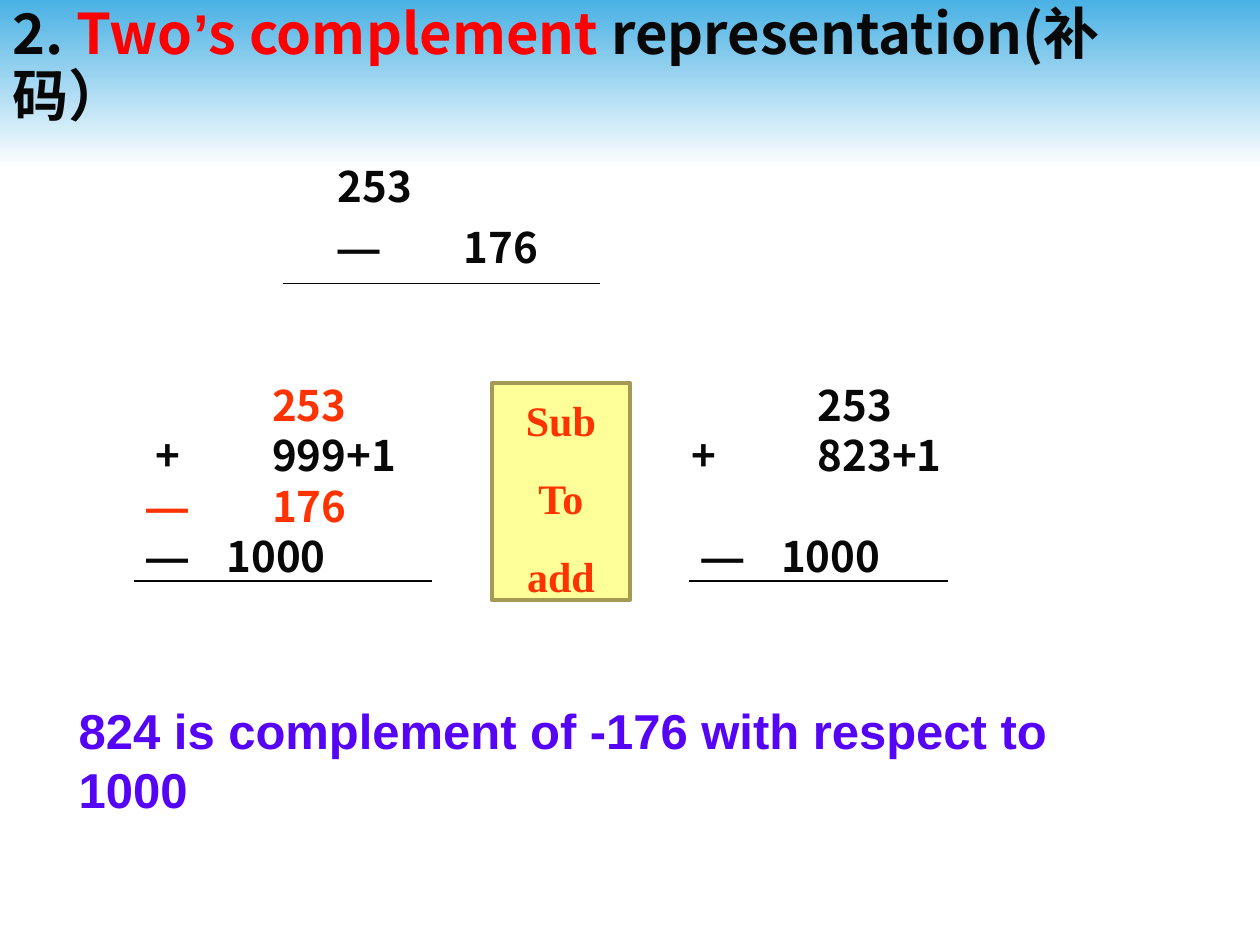
from lxml.etree import SubElement
from pptx import Presentation
from pptx.dml.color import RGBColor
from pptx.enum.shapes import MSO_CONNECTOR as Connector, MSO_SHAPE as Shape
from pptx.enum.text import MSO_ANCHOR as Anchor, PP_ALIGN as Align
from pptx.oxml.ns import qn
from pptx.util import Pt

INK = RGBColor(0x08, 0x08, 0x08)
RED = RGBColor(0xFF, 0x00, 0x00)
ORANGE = RGBColor(0xFF, 0x33, 0x00)
VIOLET = RGBColor(0x55, 0x04, 0xF6)
SKY = RGBColor(0x4A, 0xB1, 0xE4)
WHITE = RGBColor(0xFF, 0xFF, 0xFF)
YELLOW = RGBColor(0xFF, 0xFF, 0x99)
OLIVE = RGBColor(0xA5, 0x9A, 0x55)

SANS, ARIAL, SERIF = "Noto Sans CJK JP", "Arial", "Times New Roman"
ROW = 28.8

HEADING = [[
    ("2. ", SANS, INK), ("Two", SANS, RED), ("’", ARIAL, RED),
    ("s complement ", SANS, RED), ("representation(补码）", SANS, INK),
]]
SUMS = [
    dict(box=(193, 92, 200, 64), rule=(161.5, 343, 162), gap=6, tabs=(72, 72), rows=[
        [("253", SANS, INK)],
        [("—\t", ARIAL, INK), ("176", SANS, INK)],
    ]),
    dict(box=(83.5, 216.7, 180, 116), rule=(76.5, 247, 332), gap=0, tabs=(72, 46), rows=[
        [("\t253", SANS, ORANGE)],
        [(" +\t999+1", SANS, INK)],
        [("—\t", ARIAL, ORANGE), ("176", SANS, ORANGE)],
        [("—\t", ARIAL, INK), ("1000", SANS, INK)],
    ]),
    dict(box=(395.3, 216.7, 190, 116), rule=(394, 541.5, 332), gap=0, tabs=(72, 51),
         skip=ROW, rows=[
        [("\t253", SANS, INK)],
        [("+\t823+1", SANS, INK)],
        [(" ", SANS, INK), ("—\t", ARIAL, INK), ("1000", SANS, INK)],
    ]),
]
SUMS[0]["rule"] = (161.5, 343, 162)
STEPS = [[(word, SERIF, ORANGE)] for word in ("Sub", "To", "add")]
CONCLUSION = [[("824 is complement of -176 with respect to 1000", ARIAL, VIOLET)]]


def set_all(target, values):
    for key, value in values.items():
        setattr(target, key, value)


def write(shape, rows, size, wrap=True, anchor=Anchor.TOP, top=0, gap=0, **layout):
    frame = shape.text_frame
    set_all(frame, dict(margin_left=0, margin_right=0, margin_top=Pt(top),
                        margin_bottom=0, word_wrap=wrap, vertical_anchor=anchor))
    for index, row in enumerate(rows):
        paragraph = frame.add_paragraph() if index else frame.paragraphs[0]
        set_all(paragraph, layout)
        if index:
            paragraph.space_before = Pt(gap)
        for text, face, color in row:
            run = paragraph.add_run()
            run.text = text
            set_all(run.font, dict(name=face, size=Pt(size), bold=True))
            run.font.color.rgb = color
            SubElement(run.font._element, qn("a:ea")).set("typeface", face)
    return frame.paragraphs


def add_text(slide, box, rows, size, **options):
    return write(slide.shapes.add_textbox(*map(Pt, box)), rows, size, **options)


def add_tab(paragraph, position):
    stops = SubElement(paragraph._p.get_or_add_pPr(), qn("a:tabLst"))
    stop = SubElement(stops, qn("a:tab"))
    stop.set("pos", str(Pt(position)))
    stop.set("algn", "l")


def add_rect(slide, box):
    rect = slide.shapes.add_shape(Shape.RECTANGLE, *map(Pt, box))
    rect.shadow.inherit = False
    return rect


def add_sum(slide, box, rule, gap, tabs, rows, skip=0):
    lines = add_text(slide, box, rows, 24, gap=gap, line_spacing=Pt(ROW))
    for line in lines:
        add_tab(line, tabs[line is lines[-1]])
    if skip:
        lines[-1].space_before = Pt(skip)
    left, right, y = rule
    y = 162 if gap else y
    bar = slide.shapes.add_connector(Connector.STRAIGHT, Pt(left), Pt(y), Pt(right), Pt(y))
    bar.line.color.rgb = INK
    bar.line.width = Pt(0.75)
    SubElement(bar._element.spPr, qn("a:effectLst"))


def main():
    deck = Presentation()
    set_all(deck, dict(slide_width=Pt(720), slide_height=Pt(540)))
    slide = deck.slides.add_slide(deck.slide_layouts[6])

    banner = add_rect(slide, (0, 0, 720, 96))
    banner.line.fill.background()
    banner.fill.gradient()
    banner.fill.gradient_angle = 270
    for stop, color, position in zip(banner.fill.gradient_stops, (SKY, WHITE), (0, 1)):
        stop.color.rgb = color
        stop.position = position

    add_text(slide, (7.2, 3.6, 670.3, 68.4), HEADING, 32,
             anchor=Anchor.MIDDLE, line_spacing=Pt(35))
    for item in SUMS:
        add_sum(slide, **item)
    add_text(slide, (45, 400.5, 623, 34), CONCLUSION, 28, wrap=False)

    card = add_rect(slide, (281, 219, 79, 124))
    card.fill.solid()
    card.fill.fore_color.rgb = YELLOW
    card.line.color.rgb = OLIVE
    card.line.width = Pt(2.25)
    write(card, STEPS, 24, top=6.5, gap=15.75, alignment=Align.CENTER)

    deck.save("out.pptx")


if __name__ == "__main__":
    main()
